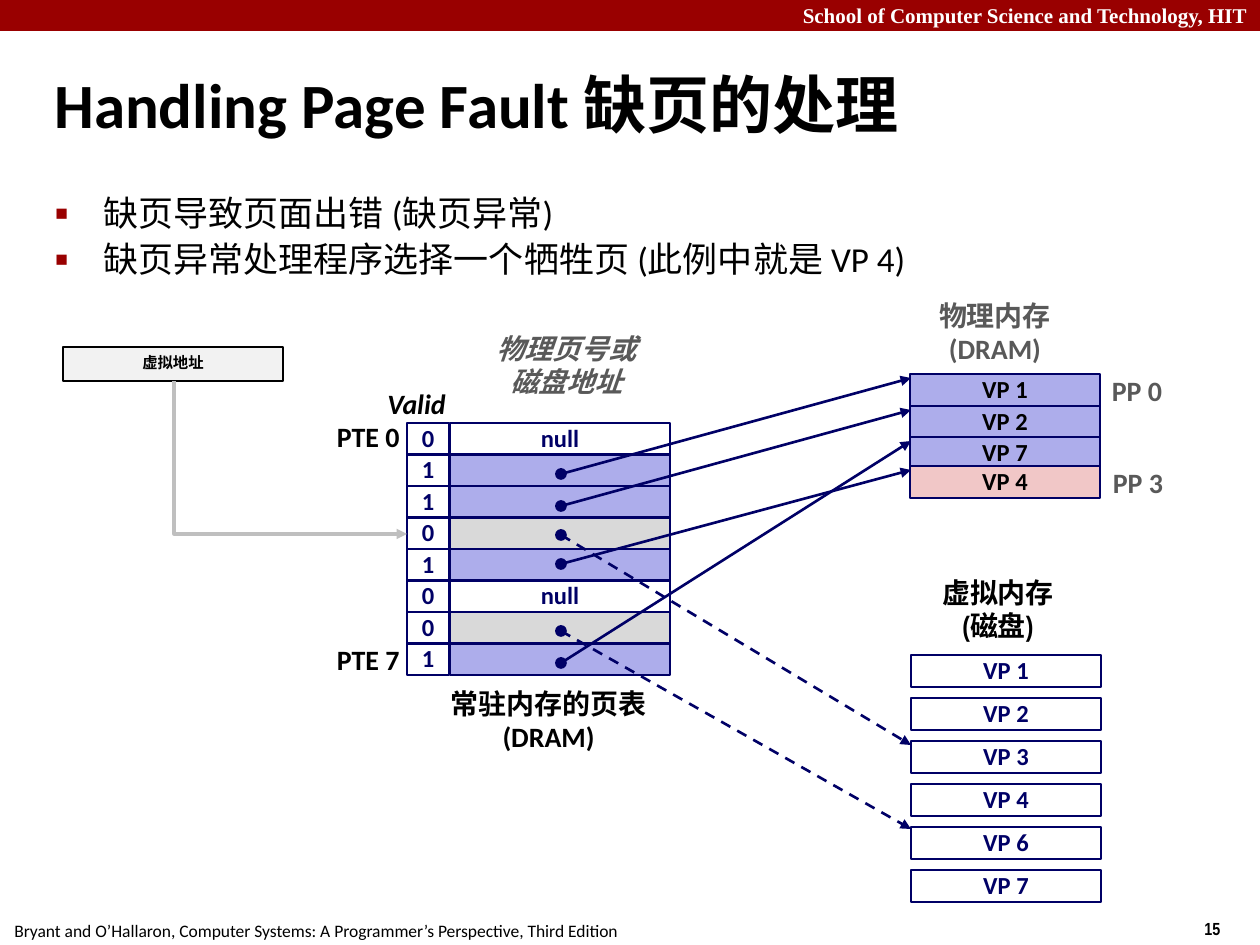
from lxml import etree
from pptx import Presentation
from pptx.dml.color import RGBColor
from pptx.enum.dml import MSO_LINE
from pptx.enum.shapes import MSO_CONNECTOR as LINK, MSO_SHAPE as SHAPE
from pptx.enum.text import MSO_ANCHOR as ANCHOR, MSO_AUTO_SIZE as FIT, PP_ALIGN as ALIGN
from pptx.oxml.ns import qn
from pptx.util import Emu, Pt

# Content
INK = dict(red="990000", navy="000066", blue="ADADEB", pink="F1C7C7", gray="D9D9D9",
           pale="F2F2F2", dim="595959", wire="BFBFBF", white="FFFFFF", black="000000")
BODY, NARROW = "Calibri", "Arial Narrow"
TITLE = "Handling Page Fault 缺页的处理"
POINTS = ["缺页导致页面出错 (缺页异常)",
          "缺页异常处理程序选择一个牺牲页 (此例中就是 VP 4)"]
# Page table rows: valid bit, text, fill
ROWS = [("0", "null", "white"), ("1", "", "blue"), ("1", "", "blue"), ("0", "", "gray"),
        ("1", "", "blue"), ("0", "null", "white"), ("0", "", "gray"), ("1", "", "blue")]
# Physical pages: name, top, fill
DRAM = [("VP 1", 374, "blue"), ("VP 2", 406, "blue"),
        ("VP 7", 437, "blue"), ("VP 4", 466, "pink")]
DISK = ["VP 1", "VP 2", "VP 3", "VP 4", "VP 6", "VP 7"]
# Pointers: dot centre, target height, on disk
LINKS = [(474, 378, False), (506, 410, False), (535, 745, True),
         (564, 470, False), (631, 829, True), (663, 441, False)]
# Labels: lines, place, colour, fonts, italic, alignment
LABELS = [
    (["PTE 0"], (324, 415, 88, 45), "black", [BODY], False, ALIGN.RIGHT),
    (["PTE 7"], (324, 638, 88, 45), "black", [BODY], False, ALIGN.RIGHT),
    (["PP 0"], (1099, 369, 76, 45), "dim", [BODY], False, ALIGN.CENTER),
    (["PP 3"], (1100, 461, 76, 45), "dim", [BODY], False, ALIGN.CENTER),
    (["Valid"], (375, 382, 95, 45), "black", [BODY], True, ALIGN.LEFT),
    (["虚拟内存", "(磁盘)"], (930, 570, 136, 81), "black", [NARROW, NARROW], False, ALIGN.CENTER),
    (["常驻内存的页表", "(DRAM)"], (438, 682, 221, 79), "black", [NARROW, BODY], False, ALIGN.CENTER),
    (["物理内存", "(DRAM)"], (927, 294, 136, 78), "dim", [NARROW, BODY], False, ALIGN.CENTER),
    (["物理页号或", "磁盘地址"], (484, 326, 165, 81), "dim", [NARROW, NARROW], True, ALIGN.CENTER),
]

# Layout in px
SCALE = 914400 / 126
WIDE, HIGH = 1260, 945
TOP, TALL = 423, 252
CELL = TALL / len(ROWS)
BIT_X, BIT_W, PTE_X, PTE_W = 407, 42, 450, 220
DRAM_X, DISK_X, PAGE_W, PAGE_H = 910, 911, 190, 32
DISK_TOP, DISK_STEP = 655, 43
DOT_X, DOT = 561, 10


def px(n):
    return Emu(round(n * SCALE))


def rgb(name):
    return RGBColor.from_string(INK[name])


def write(shape, lines, size, color="black", fonts=(BODY,), bold=True,
          italic=False, align=ALIGN.LEFT, space=None, wrap=False, anchor=ANCHOR.MIDDLE):
    frame = shape.text_frame
    frame.text = "\n".join(lines)
    frame.word_wrap = wrap
    frame.vertical_anchor = anchor
    for i, para in enumerate(frame.paragraphs):
        para.alignment = align
        if space:
            para.line_spacing = space
        for run in para.runs:
            font = run.font
            font.name = fonts[min(i, len(fonts) - 1)]
            font.size, font.bold, font.italic = Pt(size), bold, italic
            font.color.rgb = rgb(color)
    return frame


def note(place, lines, size, **look):
    box = slide.shapes.add_textbox(*map(px, place))
    frame = write(box, lines, size, **look)
    frame.auto_size = FIT.NONE
    return frame


def block(place, fill=None, line="navy", width=1.5, kind=SHAPE.RECTANGLE):
    shape = slide.shapes.add_shape(kind, *map(px, place))
    shape.shadow.inherit = False
    if fill:
        shape.fill.solid()
        shape.fill.fore_color.rgb = rgb(fill)
    else:
        shape.fill.background()
    if line:
        shape.line.color.rgb = rgb(line)
        shape.line.width = Pt(width)
    else:
        shape.line.fill.background()
    return shape


def cell(place, text, fill=None, color="navy"):
    shape = block(place, fill)
    if text:
        write(shape, [text], 14, color, align=ALIGN.CENTER, space=0.98)


def arrow(kind, ends, color, width, dash=False):
    link = slide.shapes.add_connector(kind, *map(px, ends))
    link.line.color.rgb = rgb(color)
    link.line.width = Pt(width)
    if dash:
        link.line.dash_style = MSO_LINE.DASH
    etree.SubElement(link.line._get_or_add_ln(), qn("a:tailEnd"), type="triangle")
    etree.SubElement(link._element.spPr, qn("a:effectLst"))
    return link


def bullet(para):
    props = para._p.get_or_add_pPr()
    props.set("marL", str(px(48)))
    props.set("indent", str(-px(48)))
    tint = etree.SubElement(props, qn("a:buClr"))
    etree.SubElement(tint, qn("a:srgbClr"), val=INK["red"])
    etree.SubElement(props, qn("a:buSzPct"), val="60000")
    etree.SubElement(props, qn("a:buFont"), typeface="Arial")
    etree.SubElement(props, qn("a:buChar"), char="■")


deck = Presentation()
deck.slide_width, deck.slide_height = px(WIDE), px(HIGH)
slide = deck.slides.add_slide(deck.slide_layouts[6])

# Header and footer
block((0, 0, WIDE, 31), "red", None)
note((0, -4, WIDE, 38), ["School of Computer Science and Technology, HIT"], 12,
     color="white", fonts=["Times New Roman"], align=ALIGN.RIGHT, wrap=True)
note((1192, 911, 41, 34), ["15"], 10, fonts=[NARROW])
note((2, 914, 631, 34), ["Bryant and O’Hallaron, Computer Systems: A Programmer’s "
                         "Perspective, Third Edition"], 10, bold=False, anchor=ANCHOR.TOP)

# Title and points
note((42, 49, 1142, 108), [TITLE], 36, wrap=True)
points = note((43, 190, 1145, 105), POINTS, 20, bold=False, space=0.9,
              wrap=True, anchor=ANCHOR.TOP)
for i, para in enumerate(points.paragraphs):
    bullet(para)
    if i:
        para.space_before = Pt(5)

# Page table
for i, (bit, text, fill) in enumerate(ROWS):
    y = TOP + i * CELL
    cell((PTE_X, y, PTE_W, CELL), text, fill)
    cell((BIT_X, y, BIT_W, CELL), bit)

# Physical memory and disk
for name, y, fill in DRAM:
    cell((DRAM_X, y, PAGE_W, PAGE_H), name, fill, "black")
for i, name in enumerate(DISK):
    cell((DISK_X, DISK_TOP + i * DISK_STEP, PAGE_W, PAGE_H), name, "white")

# Pointers
for y, goal, disk in LINKS:
    block((DOT_X - DOT / 2, y - DOT / 2, DOT, DOT), "navy", width=1, kind=SHAPE.OVAL)
    arrow(LINK.STRAIGHT, (DOT_X, y, DISK_X, goal), "navy", 1.5, disk)

# Virtual address, with a one-corner arrow that runs down and then right
address = block((63, 347, 220, 34), "pale", "black", 1)
write(address, ["虚拟地址"], 8.8, fonts=[NARROW], align=ALIGN.CENTER, space=0.8, wrap=True)
x1, y1, x2, y2 = 174, 381, BIT_X, 534
mid_x, mid_y = (x1 + x2) / 2, (y1 + y2) / 2
half_w, half_h = (y2 - y1) / 2, (x2 - x1) / 2
elbow = arrow(LINK.ELBOW, (mid_x - half_w, mid_y - half_h, mid_x + half_w, mid_y + half_h),
              "wire", 2)
shape_xml = elbow._element.spPr
shape_xml.find(qn("a:prstGeom")).set("prst", "bentConnector2")
turn = shape_xml.find(qn("a:xfrm"))
turn.set("rot", "16200000")
turn.set("flipH", "1")

# Labels
for lines, place, color, fonts, italic, align in LABELS:
    note(place, lines, 16, color=color, fonts=fonts, italic=italic, align=align, space=0.98)

deck.save("out.pptx")
